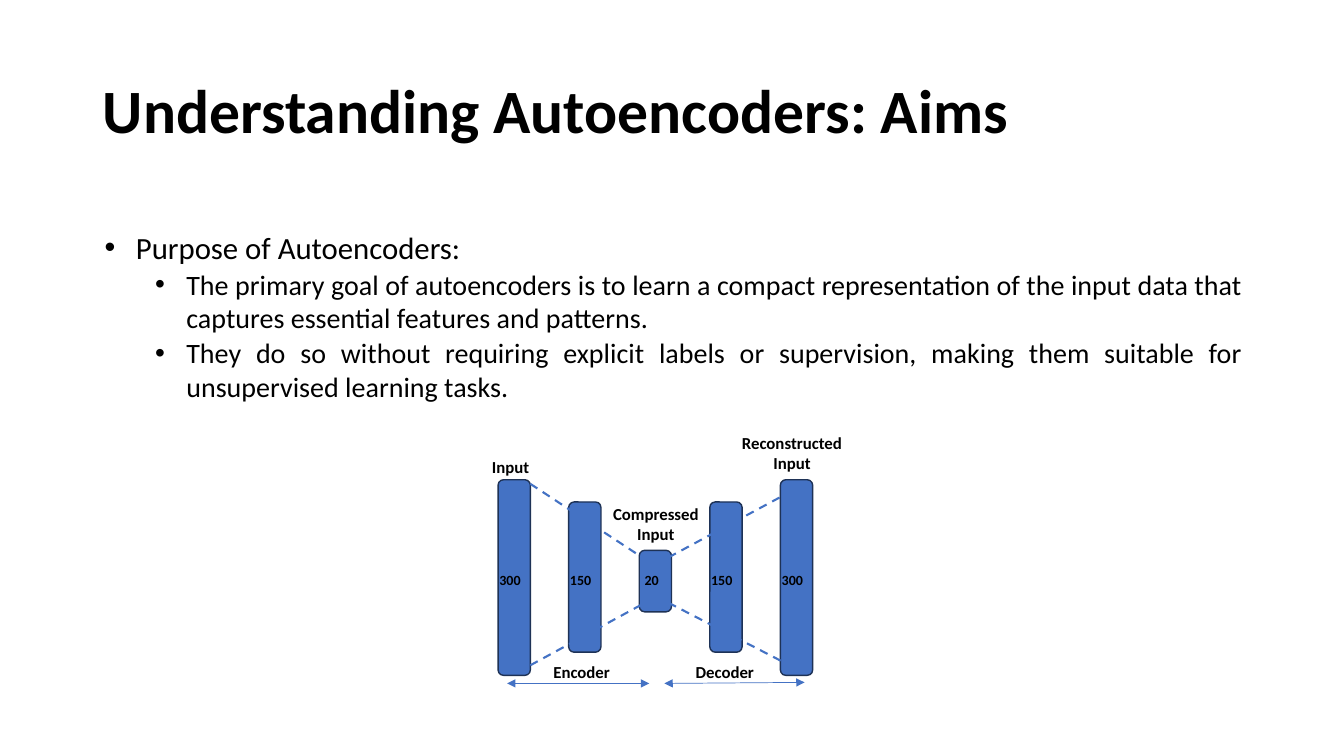
from dataclasses import dataclass

from lxml.etree import SubElement
from pptx import Presentation
from pptx.dml.color import RGBColor as Rgb
from pptx.enum.dml import MSO_LINE as Dash
from pptx.enum.shapes import MSO_CONNECTOR as Link, MSO_SHAPE as Kind
from pptx.enum.text import MSO_ANCHOR as Anchor, MSO_AUTO_SIZE as Fit, PP_ALIGN as Align
from pptx.oxml.ns import qn
from pptx.shapes.shapetree import GroupShapes
from pptx.util import Inches, Pt


@dataclass(frozen=True)
class Theme:
    font: str = "Calibri"
    ink: Rgb = Rgb(0, 0, 0)
    blue: Rgb = Rgb(0x44, 0x72, 0xC4)
    edge: Rgb = Rgb(0x1E, 0x32, 0x56)
    title: int = 44
    lead: int = 22
    point: int = 20
    label: int = 12
    count: int = 10


@dataclass(frozen=True)
class Layer:
    units: str
    top: float
    height: float
    wide: float  # width of the unit count


@dataclass(frozen=True)
class Label:
    text: str
    left: float
    top: float
    width: float
    height: float
    align: Align = Align.LEFT


@dataclass(frozen=True)
class Line:
    x1: float
    y1: float
    x2: float
    y2: float
    arrow: bool = False


THEME = Theme()

# Network layers, left to right
OUTER = Layer("300", 4.76, 1.94, 0.47)
INNER = Layer("150", 4.98, 1.49, 0.47)
CODE = Layer("20", 5.46, 0.61, 0.39)
LAYERS = [OUTER, INNER, CODE, INNER, OUTER]
START, STEP, BAR = 4.94, 0.7, 0.32

LABELS = [
    Label("Reconstructed\nInput", 7.16, 4.24, 1.39, 0.55, Align.CENTER),
    Label("Input", 4.78, 4.48, 0.65, 0.33),
    Label("Compressed\nInput", 5.91, 4.95, 1.19, 0.55, Align.CENTER),
    Label("Encoder", 5.39, 6.52, 0.86, 0.33),
    Label("Decoder", 6.8, 6.52, 0.88, 0.33),
]

LINES = [
    Line(5.26, 4.8, 6.37, 5.53),
    Line(5.26, 6.6, 6.36, 6),
    Line(6.63, 5.53, 7.78, 4.91),
    Line(6.63, 5.98, 7.85, 6.61),
    Line(6.44, 6.78, 5.03, 6.78, arrow=True),
    Line(7.98, 6.77, 6.59, 6.78, arrow=True),
]

# Text, size and left margin of each bullet
POINTS = [
    ("Purpose of Autoencoders:", THEME.lead, 0.33),
    ("The primary goal of autoencoders is to learn a compact representation of the "
     "input data that captures essential features and patterns.", THEME.point, 0.83),
    ("They do so without requiring explicit labels or supervision, making them "
     "suitable for unsupervised learning tasks.", THEME.point, 0.83),
]


def write(par, text: str, *, size: int, bold: bool = False,
          align: Align = Align.LEFT, margin: float = 0) -> None:
    par.text = text
    par.alignment = align
    if margin:
        props = par._p.get_or_add_pPr()
        props.set("marL", str(Inches(margin)))
        props.set("indent", str(Inches(-0.31)))
        SubElement(props, qn("a:buFont")).set("typeface", "Arial")
        SubElement(props, qn("a:buChar")).set("char", "•")
    font = par.font
    font.name, font.size, font.bold = THEME.font, Pt(size), bold
    font.color.rgb = THEME.ink


def draw_label(host: GroupShapes, item: Label, size: int) -> None:
    box = host.add_textbox(Inches(item.left), Inches(item.top),
                           Inches(item.width), Inches(item.height))
    frame = box.text_frame
    frame.word_wrap = False
    frame.auto_size = Fit.SHAPE_TO_FIT_TEXT
    for i, text in enumerate(item.text.split("\n")):
        par = frame.add_paragraph() if i else frame.paragraphs[0]
        write(par, text, size=size, bold=True, align=item.align)


def draw_layer(host: GroupShapes, item: Layer, left: float) -> None:
    bar = host.add_shape(Kind.ROUNDED_RECTANGLE, Inches(left), Inches(item.top),
                         Inches(BAR), Inches(item.height))
    bar.shadow.inherit = False
    bar.fill.solid()
    bar.fill.fore_color.rgb = THEME.blue
    bar.line.color.rgb = THEME.edge
    bar.line.width = Pt(1)


def draw_line(host: GroupShapes, item: Line) -> None:
    link = host.add_connector(Link.STRAIGHT, Inches(item.x1), Inches(item.y1),
                              Inches(item.x2), Inches(item.y2))
    link.line.color.rgb = THEME.blue
    link.line.width = Pt(0.5 if item.arrow else 1.5)
    props = link._element.spPr
    if item.arrow:
        for end in ("a:headEnd", "a:tailEnd"):
            SubElement(props.find(qn("a:ln")), qn(end)).set("type", "triangle")
    else:
        link.line.dash_style = Dash.DASH
    SubElement(props, qn("a:effectLst"))


def main() -> None:
    deck = Presentation()
    deck.slide_width, deck.slide_height = Inches(13.33), Inches(7.5)
    slide = deck.slides.add_slide(deck.slide_layouts[5])

    # Title
    title = slide.shapes.title
    title.left, title.top = Inches(0.92), Inches(0.4)
    title.width, title.height = Inches(11.5), Inches(1.45)
    frame = title.text_frame
    frame.auto_size = Fit.NONE
    frame.vertical_anchor = Anchor.MIDDLE
    head = frame.paragraphs[0]
    write(head, "Understanding Autoencoders: Aims", size=THEME.title, bold=True)
    head.line_spacing = 0.9

    # Bullets
    body = slide.shapes.add_textbox(Inches(0.92), Inches(2.22), Inches(11.5), Inches(1.95))
    frame = body.text_frame
    frame.word_wrap = True
    for i, (text, size, margin) in enumerate(POINTS):
        par = frame.add_paragraph() if i else frame.paragraphs[0]
        write(par, text, size=size, align=Align.JUSTIFY, margin=margin)
        par.level = min(i, 1)
        par.space_before = Pt(min(i, 1))

    # Network diagram
    host = slide.shapes.add_group_shape().shapes
    for i, layer in enumerate(LAYERS):
        draw_layer(host, layer, START + i * STEP)
    for line in LINES:
        draw_line(host, line)
    for i, layer in enumerate(LAYERS):
        left = START + i * STEP + (BAR - layer.wide) / 2 - 0.01
        draw_label(host, Label(layer.units, left, 5.62, layer.wide, 0.29), THEME.count)
    for label in LABELS:
        draw_label(host, label, THEME.label)

    deck.save("out.pptx")


if __name__ == "__main__":
    main()
